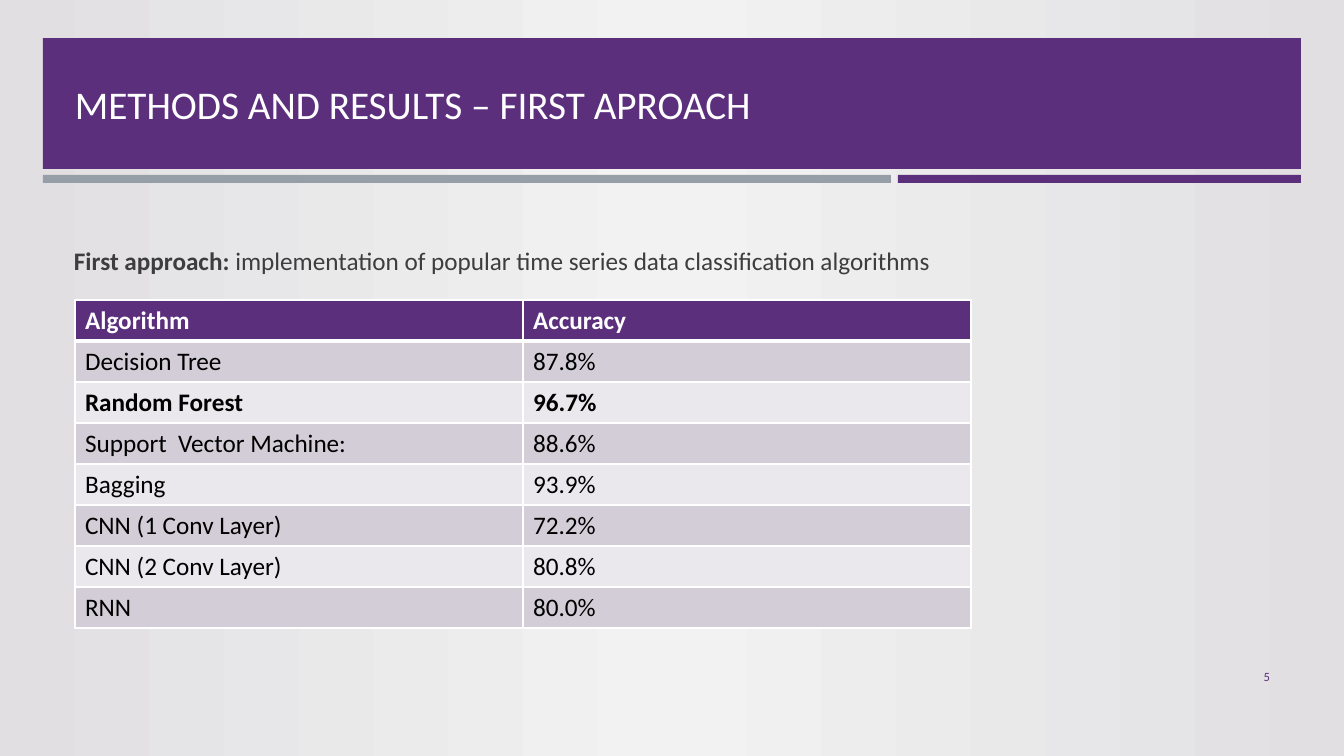
from copy import deepcopy

from lxml import etree
from pptx import Presentation
from pptx.dml.color import RGBColor
from pptx.enum.shapes import MSO_SHAPE
from pptx.enum.text import MSO_ANCHOR, PP_ALIGN
from pptx.oxml.ns import qn
from pptx.util import Pt

PX = 914400 / 100.8
RECTANGLE = MSO_SHAPE.RECTANGLE
TOP, MIDDLE = MSO_ANCHOR.TOP, MSO_ANCHOR.MIDDLE
LEFT, RIGHT = PP_ALIGN.LEFT, PP_ALIGN.RIGHT
PURPLE, GRAY, WHITE = "5C2F7D", "969FA7", "FFFFFF"
BLACK, DARK = "000000", "3D3D3D"
BAND_DARK, BAND_LIGHT = "D2CDD7", "EAE8EC"


def color(hex_code):
    return RGBColor.from_string(hex_code)


def add_span(para, text, size, hex_code, bold=False):
    span = para.add_run()
    span.text = text
    span.font.name = "Calibri"
    span.font.size = Pt(size)
    span.font.bold = bold
    span.font.color.rgb = color(hex_code)


deck = Presentation()
deck.slide_width = round(1344 * PX)
deck.slide_height = round(756 * PX)
page = deck.slides.add_slide(deck.slide_layouts[6])

# Background: horizontal gradient, lighter in the middle
backdrop = page.background.fill
backdrop.gradient()
backdrop.gradient_angle = 0
stop_list = page.element.find(".//" + qn("a:gsLst"))
stop_list.insert(1, deepcopy(stop_list[0]))
for stop, position, hex_code in zip(
        backdrop.gradient_stops, (0, 0.5, 1), ("E1DFE2", "F2F2F2", "E1DFE2")):
    stop.position = position
    stop.color.rgb = color(hex_code)

# Title band and the two bars below it
bands = [
    (43, 38, 1258, 131, PURPLE),
    (898, 175, 403, 8, PURPLE),
    (43, 175, 848, 8, GRAY),
]
for left, top, width, height, hex_code in bands:
    band = page.shapes.add_shape(
        RECTANGLE, *(round(n * PX) for n in (left, top, width, height)))
    band.shadow.inherit = False
    band.fill.solid()
    band.fill.fore_color.rgb = color(hex_code)
    band.line.fill.background()

# Title, introduction and page number: place, anchor, alignment, spans
texts = [
    ((65, 48, 1116, 112), MIDDLE, LEFT,
     [("METHODS AND RESULTS – FIRST APROACH", 28, WHITE, False)]),
    ((64, 240, 1216, 45), TOP, LEFT,
     [("First approach: ", 18, DARK, True),
      ("implementation of popular time series data classification algorithms",
       18, DARK, False)]),
    ((1164, 656, 116, 41), MIDDLE, RIGHT, [("5", 9, PURPLE, False)]),
]
for place, anchor, alignment, spans in texts:
    box = page.shapes.add_textbox(*(round(n * PX) for n in place))
    box.text_frame.word_wrap = True
    box.text_frame.vertical_anchor = anchor
    para = box.text_frame.paragraphs[0]
    para.alignment = alignment
    for span in spans:
        add_span(para, *span)

# Accuracy table
results = [
    ("Algorithm", "Accuracy"),
    ("Decision Tree", "87.8%"),
    ("Random Forest", "96.7%"),
    ("Support  Vector Machine:", "88.6%"),
    ("Bagging", "93.9%"),
    ("CNN (1 Conv Layer)", "72.2%"),
    ("CNN (2 Conv Layer)", "80.8%"),
    ("RNN", "80.0%"),
]
HEADER, BEST = 0, 2
table = page.shapes.add_table(
    len(results), 2, *(round(n * PX) for n in (75, 300, 896, 328))).table
for row, values in enumerate(results):
    table.rows[row].height = round(41 * PX)
    if row == HEADER:
        fill, ink = PURPLE, WHITE
    else:
        fill, ink = (BAND_DARK if row % 2 else BAND_LIGHT), BLACK
    for column, value in enumerate(values):
        cell = table.cell(row, column)
        add_span(cell.text_frame.paragraphs[0], value, 18, ink,
                 row in (HEADER, BEST))

        # White borders, thicker under the header
        properties = cell._tc.get_or_add_tcPr()
        for side in "LRTB":
            thick = (row, side) in ((HEADER, "B"), (HEADER + 1, "T"))
            border = etree.SubElement(properties, qn("a:ln" + side),
                                      w=str(Pt(3 if thick else 1)))
            paint = etree.SubElement(border, qn("a:solidFill"))
            etree.SubElement(paint, qn("a:srgbClr"), val=WHITE)
        cell.fill.solid()
        cell.fill.fore_color.rgb = color(fill)

deck.save("out.pptx")
